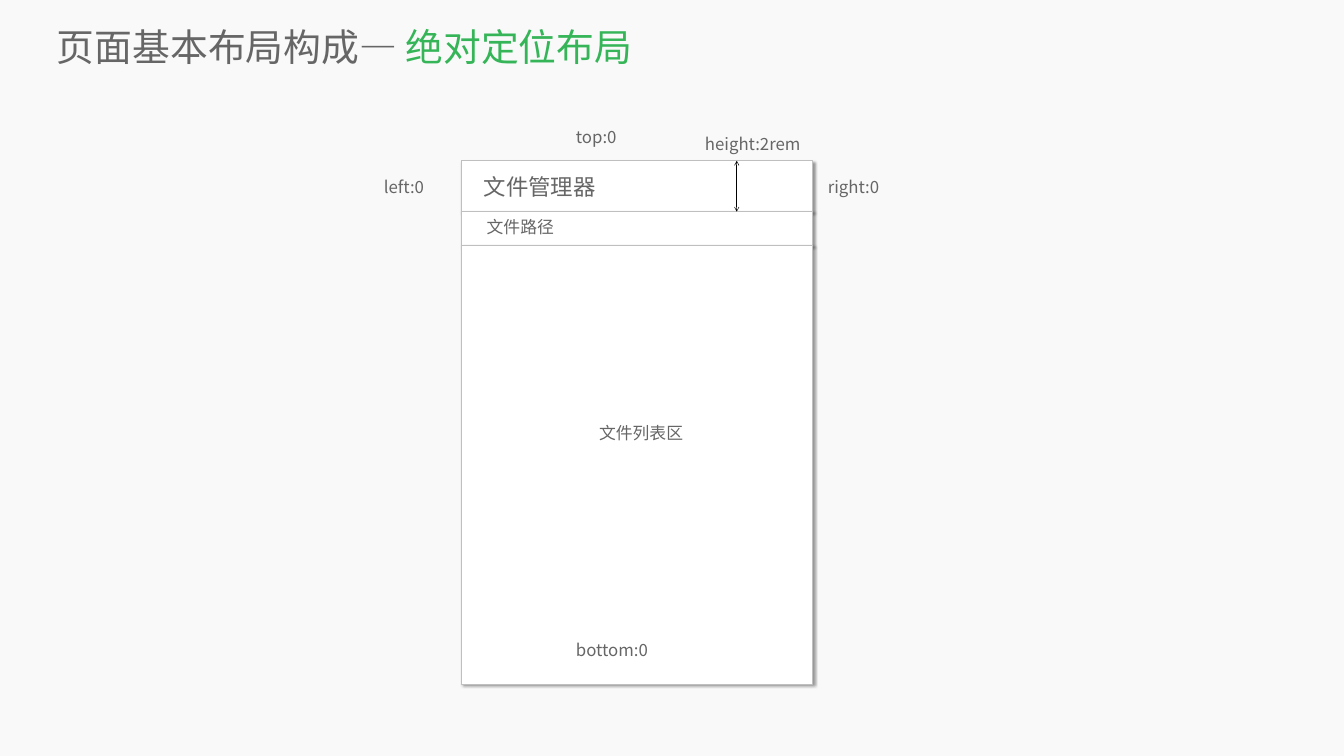
from pptx import Presentation
from pptx.dml.color import RGBColor
from pptx.enum.shapes import MSO_CONNECTOR, MSO_SHAPE
from pptx.enum.text import MSO_ANCHOR, MSO_AUTO_SIZE
from pptx.oxml.ns import qn
from pptx.util import Inches, Pt
from lxml import etree

RECTANGLE = MSO_SHAPE.RECTANGLE
STRAIGHT = MSO_CONNECTOR.STRAIGHT
MIDDLE = MSO_ANCHOR.MIDDLE
FIT_SHAPE = MSO_AUTO_SIZE.SHAPE_TO_FIT_TEXT

FONT = "Noto Sans CJK SC"
COLORS = {
    "background": "F9F9F9",
    "panel": "FFFFFF",
    "border": "BFBFBF",
    "text": "666666",
    "accent": "35B558",
    "black": "000000",
}

TITLE = [("页面基本布局构成— ", "text"), ("绝对定位布局", "accent")]
PANEL_LEFT, PANEL_TOP, PANEL_WIDTH = 9.16, 3.19, 6.97
PANEL_HEIGHTS = [1.01, 0.67, 8.7]
LABELS = [
    ("文件路径", 9.56, 4.26, 5.06, 24),
    ("文件管理器", 9.5, 3.38, 5.06, 32),
    ("文件列表区", 11.79, 8.33, 2.53, 24),
    ("left:0", 7.52, 3.45, 2.53, 24),
    ("top:0", 11.33, 2.47, 2.53, 24),
    ("right:0", 16.33, 3.45, 2.53, 24),
    ("height:2rem", 13.89, 2.6, 2.53, 24),
    ("bottom:0", 11.33, 12.65, 2.53, 24),
]
LABEL_HEIGHTS = {24: 0.5, 32: 0.64}
ARROW_X = 14.62


def color(name):
    return RGBColor.from_string(COLORS[name])


def add_element(parent, tag, **attributes):
    return etree.SubElement(parent, qn(tag), attributes)


def add_text(slide, runs, box, size, frame_format):
    frame = slide.shapes.add_textbox(*map(Inches, box)).text_frame
    for name, value in {"word_wrap": True, **frame_format}.items():
        setattr(frame, name, value)
    paragraph = frame.paragraphs[0]
    for text, color_name in runs:
        run = paragraph.add_run()
        run.text = text
        run.font.size = Pt(size)
        run.font.name = FONT
        run.font.color.rgb = color(color_name)
        add_element(run.font._element, "a:ea", typeface=FONT)
    return paragraph


def add_panel(slide, top, height):
    box = (PANEL_LEFT, top, PANEL_WIDTH, height)
    panel = slide.shapes.add_shape(RECTANGLE, *map(Inches, box))
    panel.fill.solid()
    panel.fill.fore_color.rgb = color("panel")
    panel.line.color.rgb = color("border")
    panel.line.width = Pt(1)
    panel.shadow.inherit = False
    effects = panel._element.spPr.find(qn("a:effectLst"))
    shadow = add_element(effects, "a:outerShdw", blurRad=str(Pt(4)), dist=str(Pt(3)),
                         dir=str(45 * 60000), algn="tl", rotWithShape="0")
    shade = add_element(shadow, "a:srgbClr", val=COLORS["black"])
    add_element(shade, "a:alpha", val="40000")


def add_height_arrow(slide):
    ends = (ARROW_X, PANEL_TOP, ARROW_X, PANEL_TOP + PANEL_HEIGHTS[0])
    arrow = slide.shapes.add_connector(STRAIGHT, *map(Inches, ends))
    arrow.line.color.rgb = color("black")
    arrow.line.width = Pt(0.75)
    line = arrow.line._get_or_add_ln()
    for tag in ("a:headEnd", "a:tailEnd"):
        add_element(line, tag, type="arrow")
    add_element(arrow._element.spPr, "a:effectLst")


def main():
    presentation = Presentation()
    presentation.slide_width = Inches(26.67)
    presentation.slide_height = Inches(15)
    slide = presentation.slides.add_slide(presentation.slide_layouts[6])
    slide.background.fill.solid()
    slide.background.fill.fore_color.rgb = color("background")

    title_format = {"vertical_anchor": MIDDLE, "margin_left": 0, "margin_right": 0,
                    "margin_top": 0, "margin_bottom": 0}
    title = add_text(slide, TITLE, (1.13, 0.55, 25.16, 0.86), 54, title_format)
    title.line_spacing = 0.9

    for index, height in enumerate(PANEL_HEIGHTS):
        add_panel(slide, PANEL_TOP + sum(PANEL_HEIGHTS[:index]), height)

    for text, left, top, width, size in LABELS:
        box = (left, top, width, LABEL_HEIGHTS[size])
        add_text(slide, [(text, "text")], box, size, {"auto_size": FIT_SHAPE})

    add_height_arrow(slide)
    presentation.save("out.pptx")


if __name__ == "__main__":
    main()
